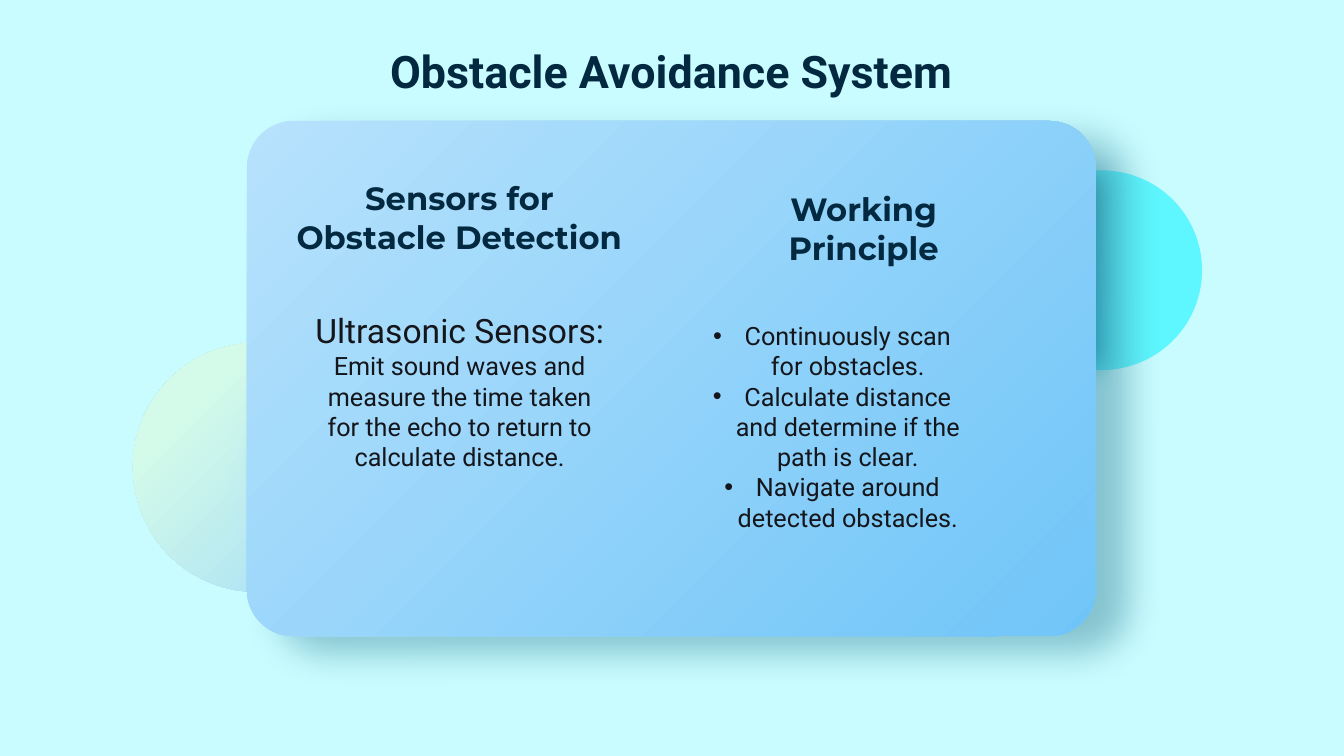
from lxml.etree import SubElement
from pptx import Presentation
from pptx.dml.color import RGBColor
from pptx.enum.shapes import MSO_SHAPE
from pptx.enum.text import MSO_ANCHOR, MSO_AUTO_SIZE, PP_ALIGN
from pptx.oxml import parse_xml
from pptx.oxml.ns import nsdecls, qn
from pptx.util import Pt

NAVY, INK = "032940", "14161B"


def colour(value):
    return RGBColor.from_string(value)


def place(shape, left, top, width, height):
    shape.left, shape.top = Pt(left), Pt(top)
    shape.width, shape.height = Pt(width), Pt(height)


def add_shape(slide, kind, box, fill="FFFFFF"):
    shape = slide.shapes.add_shape(kind, *map(Pt, box))
    shape.shadow.inherit = False
    shape.fill.solid()
    shape.fill.fore_color.rgb = colour(fill)
    shape.line.fill.background()
    return shape


def set_gradient(shape, stops, angle=None):
    """Linear at an angle in degrees, or radial from the top left corner."""
    marks = "".join(f'<a:gs pos="{position * 1000}"><a:srgbClr val="{value}"/></a:gs>'
                    for position, value in stops)
    if angle is None:
        direction = '<a:path path="circle"><a:fillToRect r="100000" b="100000"/></a:path>'
    else:
        direction = f'<a:lin ang="{angle * 60000}" scaled="0"/>'
    gradient = parse_xml(f'<a:gradFill {nsdecls("a")} rotWithShape="1">'
                         f'<a:gsLst>{marks}</a:gsLst>{direction}</a:gradFill>')
    properties = shape.fill._xPr
    properties.replace(properties.find(qn("a:solidFill")), gradient)


def add_effect(shape, tag, **attributes):
    effects = shape.fill._xPr.find(qn("a:effectLst"))
    return SubElement(effects, qn(tag), {key: str(value) for key, value in attributes.items()})


def set_text(shape, paragraphs, font="Roboto", color=INK, bold=False,
             bullet=False, wrap=True, inset=True):
    """Each paragraph is a list of (text, size) runs."""
    frame = shape.text_frame
    frame.word_wrap = wrap
    frame.auto_size = MSO_AUTO_SIZE.NONE
    frame.vertical_anchor = MSO_ANCHOR.TOP
    if not inset:
        frame.margin_left = frame.margin_right = frame.margin_top = frame.margin_bottom = 0
    for index, runs in enumerate(paragraphs):
        paragraph = frame.paragraphs[0] if index == 0 else frame.add_paragraph()
        paragraph.alignment = PP_ALIGN.CENTER
        if bullet:
            properties = paragraph._p.get_or_add_pPr()
            properties.set("marL", str(Pt(22.5)))
            properties.set("indent", str(-Pt(22.5)))
            SubElement(properties, qn("a:buFont"), typeface="Arial")
            SubElement(properties, qn("a:buChar"), char="•")
        for line_number, (text, size) in enumerate(runs):
            run = paragraph.add_run()
            run.text = text
            run.font.name, run.font.size, run.font.bold = font, Pt(size), bold
            run.font.color.rgb = colour(color)
            if text.endswith("Working"):
                paragraph.add_line_break()


def add_text(slide, box, paragraphs, **text_format):
    set_text(slide.shapes.add_textbox(*map(Pt, box)), paragraphs, **text_format)


def add_title(slide, box):
    title = slide.shapes.title
    place(title, *box)
    set_text(title, [[("Obstacle Avoidance System", 32)]], color=NAVY, bold=True)


def add_circles(slide, left, top, width):
    """Circles that peep out on both sides of the card."""
    green = add_shape(slide, MSO_SHAPE.OVAL, (left - 81.4, top + 158.4, 177, 178))
    set_gradient(green, [(23, "D4FBE9"), (100, "A1DBF8")])
    add_shape(slide, MSO_SHAPE.OVAL, (left + width - 67, top + 35.3, 143, 142.6), "5EF7FF")

    # Soft shades along the card's edges
    shades = [
        ((left + width - 87, top + 20.2, 109.4, 174.2), [(0, "359198"), (77, "1D9BC2")]),
        ((left - 13.7, top + 144, 119.5, 206.6), [(0, "A1DBF8"), (100, "D4FBE9")]),
    ]
    for box, stops in shades:
        shade = add_shape(slide, MSO_SHAPE.FLOWCHART_DELAY, box)
        shade.rotation = 180
        set_gradient(shade, stops)
        add_effect(shade, "a:softEdge", rad=Pt(20))


def add_card(slide, left, top, width, height):
    card = add_shape(slide, MSO_SHAPE.ROUNDED_RECTANGLE, (left, top, width, height))
    card.adjustments[0] = 0.09
    set_gradient(card, [(0, "B7E2FC"), (100, "70C5F8")], angle=45)
    shadow = add_effect(card, "a:outerShdw", blurRad=Pt(26), dist=Pt(26),
                        dir=27 * 60000, algn="tl", rotWithShape=0)
    tint = SubElement(shadow, qn("a:srgbClr"), val="358198")
    SubElement(tint, qn("a:alpha"), val="45000")


def add_sensors(slide, left, top):
    add_text(slide, (left, top, 243.4, 55.4), [[("Sensors for Obstacle Detection", 23)]],
             font="Montserrat", color=NAVY, bold=True, inset=False)
    add_text(slide, (left + 8, top + 90.7, 227.5, 123.8), [[
        ("Ultrasonic Sensors: ", 24),
        ("Emit sound waves and measure the time taken for the echo to return "
         "to calculate distance.", 18)]])


def add_principle(slide, left, top):
    add_text(slide, (left + 15.1, top, 217.4, 56), [[("Working", 23), ("Principle", 23)]],
             font="Montserrat", color=NAVY, bold=True, wrap=False, inset=False)
    steps = ["Continuously scan for obstacles.",
             "Calculate distance and determine if the path is clear.",
             "Navigate around detected obstacles."]
    add_text(slide, (left, top + 90, 202.3, 159.8), [[(step, 18)] for step in steps],
             bullet=True)


def main():
    presentation = Presentation()
    presentation.slide_width, presentation.slide_height = Pt(960), Pt(540)
    slide = presentation.slides.add_slide(presentation.slide_layouts[5])
    slide.background.fill.solid()
    slide.background.fill.fore_color.rgb = colour("C9FCFF")

    left, top, width, height = 176.4, 86.4, 606.2, 367.9
    add_title(slide, (239.8, 27.4, 479.5, 46))
    add_circles(slide, left, top, width)
    add_card(slide, left, top, width, height)
    add_sensors(slide, left + 30.2, top + 41)
    add_principle(slide, left + 316.8, top + 49)
    presentation.save("out.pptx")


if __name__ == "__main__":
    main()
